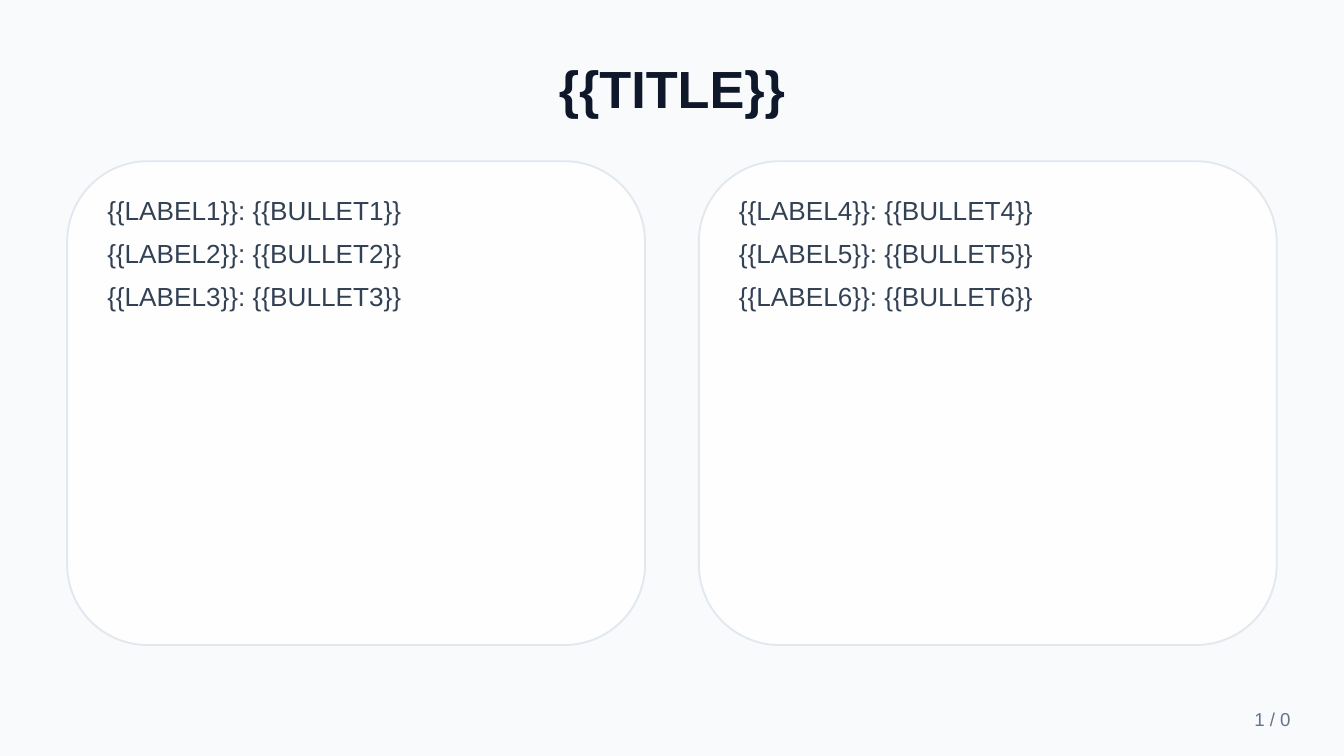
from lxml import etree
from pptx import Presentation
from pptx import util as u
from pptx.dml.color import RGBColor
from pptx.enum import shapes, text
from pptx.oxml.ns import qn

COLORS = {
    "background": "F8FAFC",
    "title": "0F172A",
    "body": "334155",
    "muted": "64748B",
    "card": "FFFFFF",
    "border": "E2E8F0",
}
FONT = "Arial"
CARD_TOP, CARD_WIDTH, CARD_HEIGHT = 1.2, 4.3, 3.6
CARD_GAP, CARD_PADDING = 0.4, 0.2
MARGIN = 0.5
CARD_OPACITY = 90


def color(name):
    return RGBColor.from_string(COLORS[name])


class SlideBuilder:
    """Holds the shared style and the slide being filled."""

    def __init__(self, slide):
        self.slide = slide
        fill = slide.background.fill
        fill.solid()
        fill.fore_color.rgb = color("background")

    def text_box(self, left, top, width, height, lines, color_name, font_format,
                 paragraph_format, anchor=text.MSO_ANCHOR.TOP):
        box = self.slide.shapes.add_textbox(*map(u.Inches, (left, top, width, height)))
        frame = box.text_frame
        frame.word_wrap = True
        frame.vertical_anchor = anchor
        frame.text = "\n".join(lines)
        for paragraph in frame.paragraphs:
            for name, value in paragraph_format.items():
                setattr(paragraph, name, value)
            font = paragraph.runs[0].font
            for name, value in {"name": FONT, **font_format}.items():
                setattr(font, name, value)
            font.color.rgb = color(color_name)

    def panel(self, left, top, width, height):
        shape = self.slide.shapes.add_shape(
            shapes.MSO_SHAPE.ROUNDED_RECTANGLE,
            *map(u.Inches, (left, top, width, height)))
        shape.shadow.inherit = False
        shape.fill.solid()
        shape.fill.fore_color.rgb = color("card")
        fill_color = shape.element.spPr.find(qn("a:solidFill"))[0]
        etree.SubElement(fill_color, qn("a:alpha"), val=str(CARD_OPACITY * 1000))
        shape.line.color.rgb = color("border")
        shape.line.width = u.Pt(1)

    def card(self, left, lines):
        """Draw a rounded panel with its labelled lines inside the padding."""
        self.panel(left, CARD_TOP, CARD_WIDTH, CARD_HEIGHT)
        self.text_box(left + CARD_PADDING, CARD_TOP + CARD_PADDING,
                      CARD_WIDTH - 2 * CARD_PADDING, CARD_HEIGHT - 2 * CARD_PADDING,
                      lines, "body", {"size": u.Pt(14)}, {"space_after": u.Pt(6)})


def main():
    presentation = Presentation()
    presentation.slide_width = u.Inches(10)
    presentation.slide_height = presentation.slide_width * 9 // 16
    builder = SlideBuilder(presentation.slides.add_slide(presentation.slide_layouts[6]))

    builder.text_box(MARGIN, 0.3, 9, 0.7, ["{{TITLE}}"], "title",
                     {"size": u.Pt(28), "bold": True},
                     {"alignment": text.PP_ALIGN.CENTER}, text.MSO_ANCHOR.MIDDLE)
    for column, numbers in enumerate([(1, 2, 3), (4, 5, 6)]):
        lines = ["{{LABEL%d}}: {{BULLET%d}}" % (number, number) for number in numbers]
        builder.card(MARGIN + column * (CARD_WIDTH + CARD_GAP), lines)
    builder.text_box(8.5, 5.2, 1.2, 0.3, ["1 / 0"], "muted", {"size": u.Pt(10)},
                     {"alignment": text.PP_ALIGN.RIGHT}, text.MSO_ANCHOR.MIDDLE)

    presentation.save("out.pptx")


if __name__ == "__main__":
    main()
